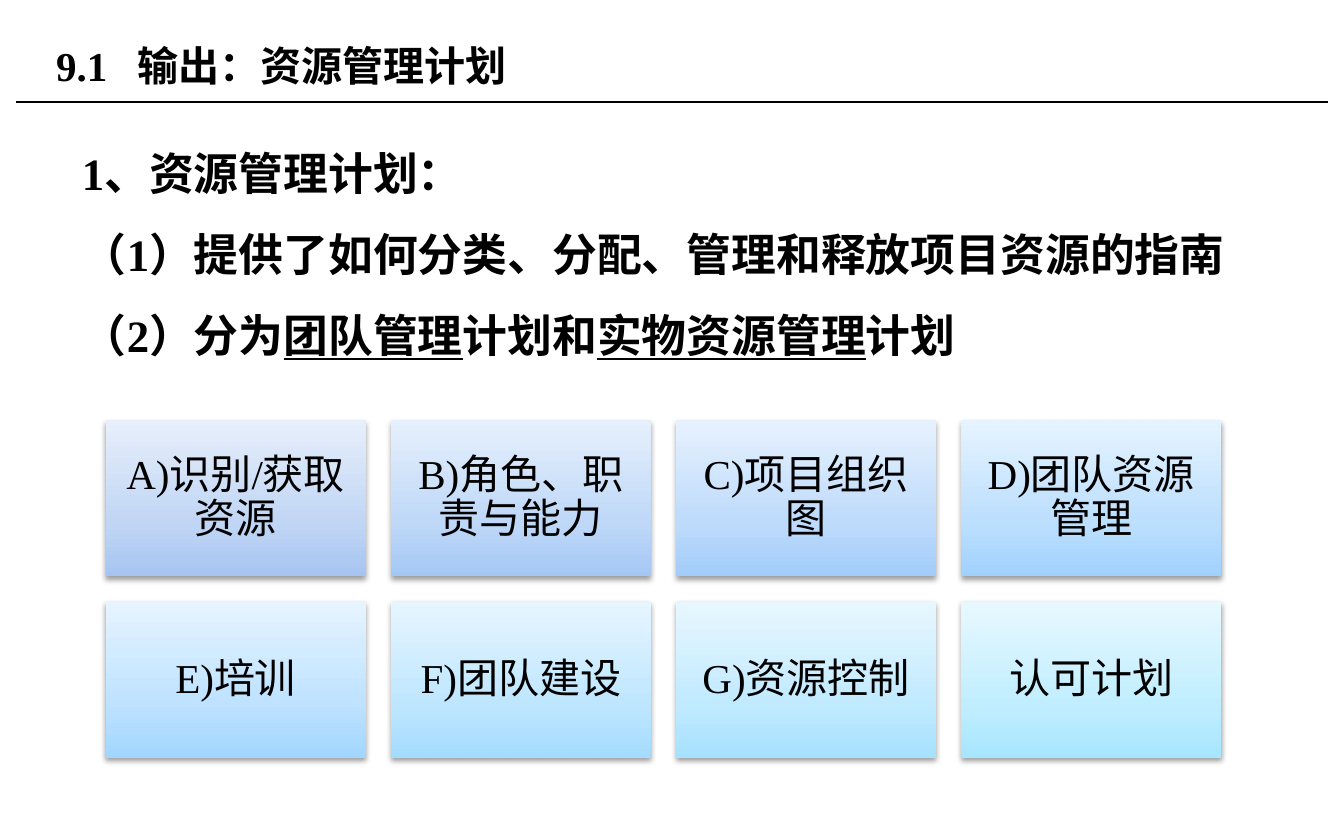
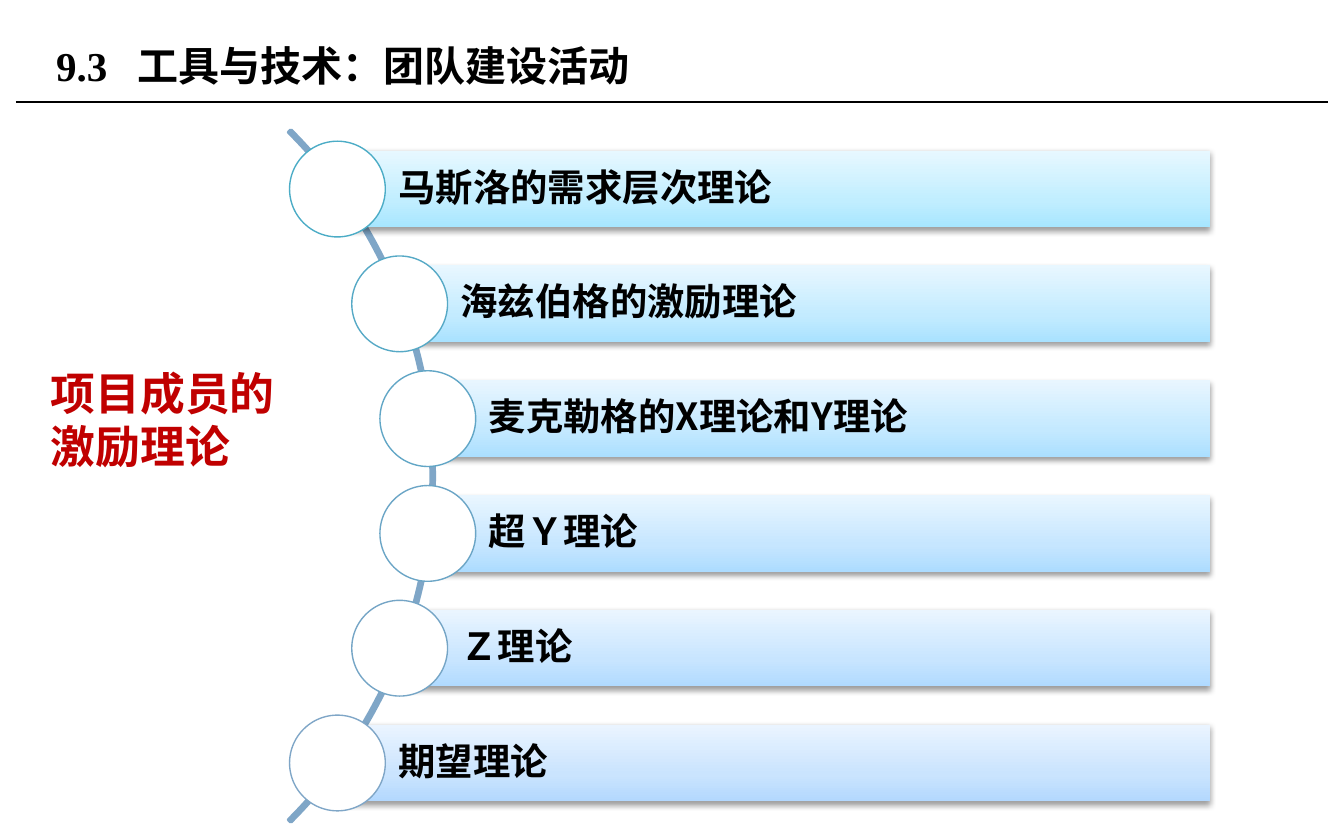
"""Build two slides on resource planning and team motivation theories."""
from copy import deepcopy
from math import sqrt

from lxml.etree import SubElement
from pptx import Presentation
from pptx.dml.color import RGBColor
from pptx.enum.shapes import MSO_CONNECTOR, MSO_SHAPE
from pptx.enum.text import MSO_ANCHOR as Anchor, MSO_AUTO_SIZE, PP_ALIGN as Align
from pptx.oxml.ns import qn
from pptx.util import Cm, Pt

BLACK = RGBColor(0x00, 0x00, 0x00)
WHITE = RGBColor(0xFF, 0xFF, 0xFF)
RED = RGBColor(0xC0, 0x00, 0x00)
ARC_BLUE = RGBColor(0x7F, 0xA6, 0xC7)

SERIF, SANS, LABEL_FONT = "Times New Roman", "Noto Sans CJK SC", "Lato"

PLAN_TITLE = ("9.1", "输出：资源管理计划", 16.2)
PLAN_LINES = [
    [("1、资源管理计划：", False)],
    [("（1）提供了如何分类、分配、管理和释放项目资源的指南", False)],
    [("（2）分为", False), ("团队管理", True), ("计划和", False),
     ("实物资源管理", True), ("计划", False)],
]
PLAN_PARTS = [
    ("A)识别/获取资源", RGBColor(0xA6, 0xC4, 0xF1)),
    ("B)角色、职责与能力", RGBColor(0xA4, 0xC8, 0xF5)),
    ("C)项目组织图", RGBColor(0xA2, 0xCC, 0xFA)),
    ("D)团队资源管理", RGBColor(0xA0, 0xD1, 0xFE)),
    ("E)培训", RGBColor(0xA2, 0xD6, 0xFF)),
    ("F)团队建设", RGBColor(0xA4, 0xDC, 0xFF)),
    ("G)资源控制", RGBColor(0xA6, 0xE1, 0xFF)),
    ("认可计划", RGBColor(0xA7, 0xE6, 0xFF)),
]

TEAM_TITLE = ("9.3", "工具与技术：团队建设活动", 18.5)
TEAM_LABEL = "项目成员的激励理论"
THEORIES = [
    ("马斯洛的需求层次理论", RGBColor(0xA7, 0xE6, 0xFF), RGBColor(0x4B, 0xAC, 0xC6)),
    ("海兹伯格的激励理论", RGBColor(0xA9, 0xE2, 0xFF), RGBColor(0x56, 0xA9, 0xC6)),
    ("麦克勒格的X理论和Y理论", RGBColor(0xAB, 0xDF, 0xFF), RGBColor(0x61, 0xA6, 0xC6)),
    ("超Ｙ理论", RGBColor(0xAD, 0xDC, 0xFF), RGBColor(0x6B, 0xA5, 0xC6)),
    ("Ｚ理论", RGBColor(0xB0, 0xDA, 0xFF), RGBColor(0x75, 0xA5, 0xC6)),
    ("期望理论", RGBColor(0xB3, 0xD8, 0xFE), ARC_BLUE),
]

TILE_COLUMNS, TILE_LEFT, TILE_TOP = 4, 2.0, 7.95
TILE_W, TILE_H, TILE_STEP_X, TILE_STEP_Y = 4.91, 2.95, 5.39, 3.43
ARC_X, ARC_Y, ARC_SIZE = -1.04, 9.0, 18.49
RING_ORBIT, RING_SIZE, THEORY_STEP = 9.19, 1.81, 2.17
BAR_RIGHT, BAR_H = 22.87, 1.45


def style(paragraph, size, face, bold=False, color=BLACK):
    font = paragraph.font
    font.size, font.name, font.bold = Pt(size), face, bold
    font.color.rgb = color
    east_asian = SubElement(paragraph._p.pPr.find(qn("a:defRPr")), qn("a:ea"))
    east_asian.set("typeface", SANS)


def text_box(slide, left, top, width, height):
    box = slide.shapes.add_textbox(Cm(left), Cm(top), Cm(width), Cm(height))
    box.text_frame.word_wrap = True
    return box.text_frame


def add_shape(slide, kind, left, top, width, height):
    shape = slide.shapes.add_shape(kind, Cm(left), Cm(top), Cm(width), Cm(height))
    shape.shadow.inherit = False
    return shape


def tint(color, strength):
    return RGBColor(*(round(255 - (255 - part) * strength) for part in color))


def add_panel(slide, left, top, width, height, color):
    panel = add_shape(slide, MSO_SHAPE.RECTANGLE, left, top, width, height)
    panel.line.fill.background()
    panel.fill.gradient()
    panel.fill.gradient_angle = 90
    properties = panel._element.spPr
    stop_list = properties.find(".//" + qn("a:gsLst"))
    stop_list.insert(1, deepcopy(stop_list[0]))
    blend = [(0, 1), (0.35, 0.7), (1, 0.27)]
    for stop, (position, strength) in zip(panel.fill.gradient_stops, blend):
        stop.position = position
        stop.color.rgb = tint(color, strength)
    shadow = SubElement(properties.find(qn("a:effectLst")), qn("a:outerShdw"),
                        blurRad="40000", dist="20000", dir="5400000", rotWithShape="0")
    shade = SubElement(shadow, qn("a:srgbClr"), val=str(BLACK))
    SubElement(shade, qn("a:alpha"), val="38000")
    return panel


def write_panel(panel, text, align, inset, left_inset, size, face, bold=False):
    frame = panel.text_frame
    frame.word_wrap = True
    frame.vertical_anchor = Anchor.MIDDLE
    frame.margin_left = Cm(left_inset)
    frame.margin_right = frame.margin_top = frame.margin_bottom = Cm(inset)
    paragraph = frame.paragraphs[0]
    paragraph.text, paragraph.alignment, paragraph.line_spacing = text, align, 0.9
    style(paragraph, size, face, bold)


def new_slide(deck, title):
    number, heading, width = title
    slide = deck.slides.add_slide(deck.slide_layouts[6])
    rule = slide.shapes.add_connector(MSO_CONNECTOR.STRAIGHT, Cm(0.3), Cm(1.93), Cm(25.1), Cm(1.93))
    rule.line.color.rgb, rule.line.width = BLACK, Pt(0.75)
    SubElement(rule._element.spPr, qn("a:effectLst"))
    frame = text_box(slide, 0.81, 0.33, width, 1.8)
    frame.vertical_anchor = Anchor.MIDDLE
    paragraph = frame.paragraphs[0]
    paragraph.text = f"{number}\t{heading}"
    tabs = SubElement(paragraph._p.get_or_add_pPr(), qn("a:tabLst"))
    SubElement(tabs, qn("a:tab"), pos=str(Cm(1.54)), algn="l")
    style(paragraph, 22, SERIF, True)
    return slide


def build_plan(deck):
    slide = new_slide(deck, PLAN_TITLE)
    frame = text_box(slide, 1.3, 2.13, 22.81, 9.9)
    for index, line in enumerate(PLAN_LINES):
        paragraph = frame.add_paragraph() if index else frame.paragraphs[0]
        paragraph.line_spacing = 1.5
        style(paragraph, 24, SERIF, True)
        for words, underlined in line:
            run = paragraph.add_run()
            run.text = words
            if underlined:
                run.font.underline = True
    for index, (part, color) in enumerate(PLAN_PARTS):
        row, column = divmod(index, TILE_COLUMNS)
        tile = add_panel(slide, TILE_LEFT + column * TILE_STEP_X,
                         TILE_TOP + row * TILE_STEP_Y, TILE_W, TILE_H, color)
        write_panel(tile, part, Align.CENTER, 0.23, 0.23, 22, SERIF)


def build_theories(deck):
    slide = new_slide(deck, TEAM_TITLE)
    frame = text_box(slide, 0.71, 6.78, 5.44, 2.31)
    frame.auto_size = MSO_AUTO_SIZE.SHAPE_TO_FIT_TEXT
    frame.paragraphs[0].text = TEAM_LABEL
    style(frame.paragraphs[0], 24, LABEL_FONT, True, RED)

    arc = add_shape(slide, MSO_SHAPE.BLOCK_ARC, ARC_X - ARC_SIZE / 2,
                    ARC_Y - ARC_SIZE / 2, ARC_SIZE, ARC_SIZE)
    for index, value in enumerate((189, 27, 0.003)):
        arc.adjustments[index] = value
    arc.fill.background()
    arc.line.color.rgb, arc.line.width = ARC_BLUE, Pt(2)

    for index, (theory, color, ring_color) in enumerate(THEORIES):
        offset = (index - (len(THEORIES) - 1) / 2) * THEORY_STEP
        x, y = ARC_X + sqrt(RING_ORBIT ** 2 - offset ** 2), ARC_Y + offset
        bar = add_panel(slide, x, y - BAR_H / 2, BAR_RIGHT - x, BAR_H, color)
        write_panel(bar, theory, Align.LEFT, 0.15, 1.15, 20, SANS, True)
        ring = add_shape(slide, MSO_SHAPE.OVAL, x - RING_SIZE / 2, y - RING_SIZE / 2,
                         RING_SIZE, RING_SIZE)
        ring.fill.solid()
        ring.fill.fore_color.rgb = WHITE
        ring.line.color.rgb, ring.line.width = ring_color, Pt(0.75)


def main():
    deck = Presentation()
    deck.slide_width, deck.slide_height = Cm(25.4), Cm(15.88)
    build_plan(deck)
    build_theories(deck)
    deck.save("out.pptx")


if __name__ == "__main__":
    main()
